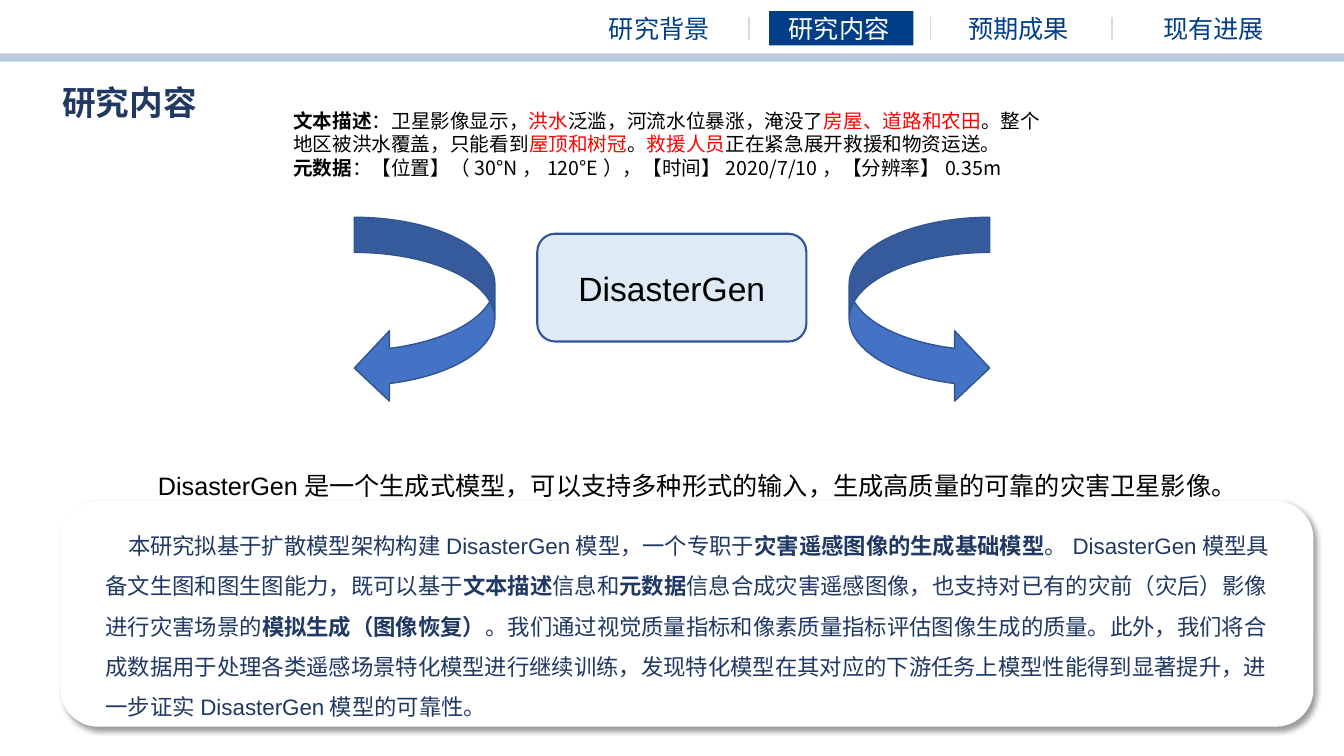
from dataclasses import dataclass
from typing import NamedTuple

from lxml.etree import SubElement
from pptx import Presentation
from pptx.dml.color import RGBColor
from pptx.enum.shapes import MSO_CONNECTOR as Connector, MSO_SHAPE as Preset
from pptx.enum.text import MSO_ANCHOR as Anchor, MSO_AUTO_SIZE as AutoSize, PP_ALIGN as Align
from pptx.oxml.ns import qn
from pptx.shapes.autoshape import Shape
from pptx.slide import Slide
from pptx.text.text import TextFrame
from pptx.util import Pt


@dataclass(frozen=True)
class Theme:
    brand: str = "003F87"
    navy: str = "203864"
    black: str = "000000"
    white: str = "FFFFFF"
    red: str = "FF0000"
    divider: str = "D9D9D9"
    model_fill: str = "DEEBF7"
    model_line: str = "2F5597"
    arrow_fill: str = "4472C4"
    arrow_line: str = "325491"
    chinese: str = "Noto Sans CJK SC"
    latin: str = "Arial"
    heading: float = 24
    lead: float = 18
    body: float = 16
    note: float = 14


THEME = Theme()


class Area(NamedTuple):
    left: float
    top: float
    width: float
    height: float


class Span(NamedTuple):
    text: str
    bold: bool = False
    color: str | None = None
    font: str = THEME.chinese


@dataclass(frozen=True)
class Style:
    size: float
    color: str
    align: Align = Align.LEFT
    line_spacing: float = 1.0
    indent: float = 0
    top_inset: float = 3.6
    wrap: bool = True


@dataclass(frozen=True)
class Block:
    preset: Preset
    area: Area
    fill: str
    line: str | None = None
    line_width: float = 1
    opacity: int = 100
    flipped: bool = False


def bold(text: str) -> Span:
    return Span(text, bold=True)


def red(text: str) -> Span:
    return Span(text, color=THEME.red)


MODEL = Span("DisasterGen", font=THEME.latin)
TABS = ["研究背景", "研究内容", "预期成果", "现有进展"]
ACTIVE_TAB = "研究内容"
DESCRIPTION = [
    [bold("文本描述"), Span("：卫星影像显示，"), red("洪水"), Span("泛滥，河流水位暴涨，淹没了"),
     red("房屋、道路和农田"), Span("。整个地区被洪水覆盖，只能看到"), red("屋顶和树冠"), Span("。"),
     red("救援人员"), Span("正在紧急展开救援和物资运送。")],
    [bold("元数据"), Span("：【位置】（30°N，120°E），【时间】2020/7/10，【分辨率】0.35m")],
]
SUMMARY = [[MODEL, Span("是一个生成式模型，可以支持多种形式的输入，生成高质量的可靠的灾害卫星影像。")]]
DETAILS = [[
    Span("本研究拟基于扩散模型架构构建"), MODEL, Span("模型，一个专职于"),
    bold("灾害遥感图像的生成基础模型"), Span("。"), MODEL,
    Span("模型具备文生图和图生图能力，既可以基于"), bold("文本描述"), Span("信息和"), bold("元数据"),
    Span("信息合成灾害遥感图像，也支持对已有的灾前（灾后）影像进行灾害场景的"),
    bold("模拟生成（图像恢复）"),
    Span("。我们通过视觉质量指标和像素质量指标评估图像生成的质量。此外，我们将合成数据用于处理各类遥感场景"
         "特化模型进行继续训练，发现特化模型在其对应的下游任务上模型性能得到显著提升，进一步证实"),
    MODEL, Span("模型的可靠性。"),
]]


def points(area: Area) -> list[Pt]:
    return [Pt(value) for value in area]


def write(frame: TextFrame, paragraphs: list[list[Span]], style: Style) -> None:
    frame.word_wrap = style.wrap
    frame.margin_top = Pt(style.top_inset)
    for number, spans in enumerate(paragraphs):
        para = frame.add_paragraph() if number else frame.paragraphs[0]
        para.alignment = style.align
        para.line_spacing = style.line_spacing
        if style.indent:
            para._p.get_or_add_pPr().set("indent", str(Pt(style.indent)))
        for span in spans:
            run = para.add_run()
            run.text = span.text
            formats = {"name": span.font, "size": Pt(style.size), "bold": span.bold}
            for name, value in formats.items():
                setattr(run.font, name, value)
            run.font.color.rgb = RGBColor.from_string(span.color or style.color)
            SubElement(run._r.get_or_add_rPr(), qn("a:ea"), typeface=span.font)


def add_text(slide: Slide, area: Area, paragraphs: list[list[Span]], style: Style) -> None:
    frame = slide.shapes.add_textbox(*points(area)).text_frame
    write(frame, paragraphs, style)
    frame.auto_size = AutoSize.SHAPE_TO_FIT_TEXT


def add_block(slide: Slide, block: Block) -> Shape:
    shape = slide.shapes.add_shape(block.preset, *points(block.area))
    shape.shadow.inherit = False
    shape.fill.solid()
    shape.fill.fore_color.rgb = RGBColor.from_string(block.fill)
    if block.opacity < 100:
        color = shape._element.spPr.find(".//" + qn("a:srgbClr"))
        SubElement(color, qn("a:alpha"), val=str(block.opacity * 1000))
    if block.line:
        shape.line.color.rgb = RGBColor.from_string(block.line)
        shape.line.width = Pt(block.line_width)
    else:
        shape.line.fill.background()
    if block.flipped:
        shape._element.spPr.find(qn("a:xfrm")).set("flipH", "1")
    return shape


def add_drop_shadow(shape: Shape) -> None:
    effects = shape._element.spPr.find(qn("a:effectLst"))
    shadow = SubElement(effects, qn("a:outerShdw"), blurRad=str(Pt(4)), dist=str(Pt(3)),
                        dir=str(45 * 60000), algn="tl", rotWithShape="0")
    color = SubElement(shadow, qn("a:srgbClr"), val=THEME.black)
    SubElement(color, qn("a:alpha"), val="40000")


def add_divider(slide: Slide, x: float) -> None:
    line = slide.shapes.add_connector(Connector.STRAIGHT, Pt(x), Pt(12.2), Pt(x), Pt(28.8))
    line.line.color.rgb = RGBColor.from_string(THEME.divider)
    line.line.width = Pt(1)
    SubElement(line._element.spPr, qn("a:effectLst"))


def add_navigation(slide: Slide) -> None:
    add_block(slide, Block(Preset.RECTANGLE, Area(549.4, 7.9, 103, 24.5), THEME.brand))
    for index, tab in enumerate(TABS):
        is_last = index == len(TABS) - 1
        area = Area(426.3 + 128.4 * index, 5.8, 110.9 if is_last else 89.3, 28.8)
        color = THEME.white if tab == ACTIVE_TAB else THEME.brand
        add_text(slide, area, [[Span(tab)]], Style(THEME.lead, color, Align.CENTER))
        if not is_last:
            add_divider(slide, 535 + 129.6 * index)


def add_model_diagram(slide: Slide) -> None:
    add_text(slide, Area(202.3, 74.2, 555.1, 58.3), DESCRIPTION, Style(THEME.note, THEME.black))
    model = add_block(slide, Block(Preset.ROUNDED_RECTANGLE, Area(383.8, 167, 192.2, 77),
                                   THEME.model_fill, THEME.model_line, 1.5))
    write(model.text_frame, [[MODEL]], Style(THEME.heading, THEME.black, Align.CENTER))
    model.text_frame.vertical_anchor = Anchor.MIDDLE
    for left, flipped in ((253.1, False), (606.6, True)):
        add_block(slide, Block(Preset.CURVED_LEFT_ARROW, Area(left, 155.2, 100.4, 132.8),
                               THEME.arrow_fill, THEME.arrow_line, flipped=flipped))


def main() -> None:
    deck = Presentation()
    deck.slide_width, deck.slide_height = Pt(960), Pt(540)
    page = deck.slides.add_slide(deck.slide_layouts[6])

    add_block(page, Block(Preset.RECTANGLE, Area(0, 38.2, 960, 5.8), THEME.brand, opacity=27))
    add_text(page, Area(37.4, 46.1, 136.8, 41), [[bold("研究内容")]],
             Style(THEME.heading, THEME.navy, line_spacing=1.3))
    panel = add_block(page, Block(Preset.ROUNDED_RECTANGLE, Area(43.2, 357.8, 895, 161.3), THEME.white))
    add_drop_shadow(panel)
    add_text(page, Area(68.4, 362.9, 846.7, 156.2), DETAILS,
             Style(THEME.body, THEME.navy, line_spacing=1.5, indent=16, top_inset=7.6))
    add_text(page, Area(105.8, 332.6, 781.9, 28.8), SUMMARY,
             Style(THEME.lead, THEME.black, wrap=False))
    add_navigation(page)
    add_model_diagram(page)
    deck.save("out.pptx")


if __name__ == "__main__":
    main()
